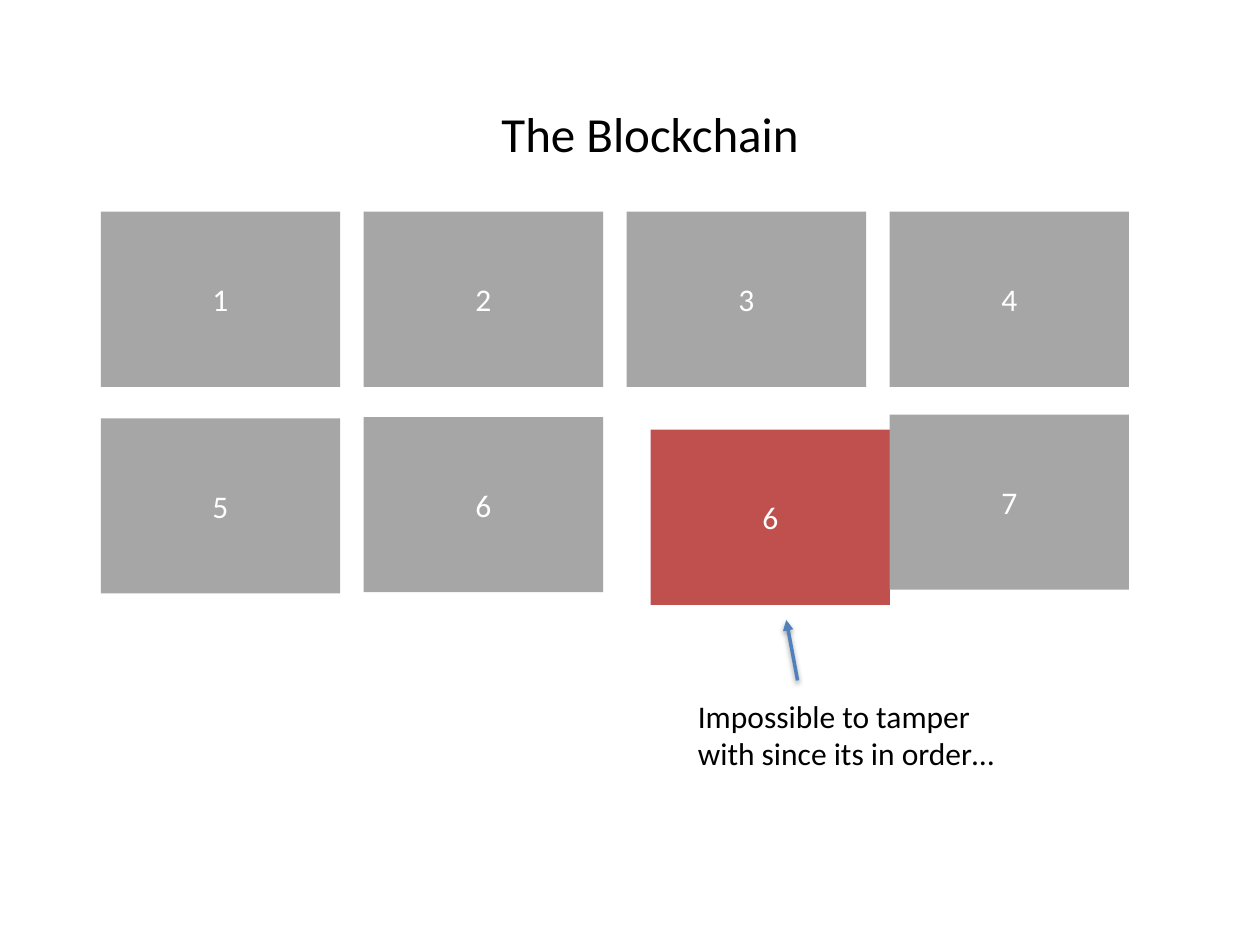
from lxml.etree import SubElement
from pptx import Presentation
from pptx.dml.color import RGBColor
from pptx.enum.shapes import MSO_CONNECTOR, MSO_SHAPE
from pptx.enum.text import MSO_ANCHOR, PP_ALIGN
from pptx.oxml.ns import qn
from pptx.util import Inches, Pt

GREY = RGBColor(0xA6, 0xA6, 0xA6)
RED = RGBColor(0xC0, 0x50, 0x4D)
BLUE = RGBColor(0x4F, 0x81, 0xBD)
WHITE = RGBColor(0xFF, 0xFF, 0xFF)
BLACK = RGBColor(0, 0, 0)

TITLE = "The Blockchain"
NOTE = "Impossible to tamper with since its in order…"

# Grid of blocks, in inches
LEFT, TOP = 0.8, 1.68
BLOCK_WIDTH, BLOCK_HEIGHT = 1.9, 1.39
COLUMN_STEP, ROW_STEP = 2.087, 1.63

# label, column, row, shift right, shift down, fill
BLOCKS = [
    ("1", 0, 0, 0, 0, GREY),
    ("2", 1, 0, 0, 0, GREY),
    ("3", 2, 0, 0, 0, GREY),
    ("4", 3, 0, 0, 0, GREY),
    ("6", 1, 1, 0, 0, GREY),
    ("6", 2, 1, 0.19, 0.1, RED),
    ("7", 3, 1, 0, -0.02, GREY),
    ("5", 0, 1, 0, 0.01, GREY),
]


def write(box, text, size, color, align, anchor):
    """Put one run of Calibri text into a box."""
    frame = box.text_frame
    frame.word_wrap = True
    frame.vertical_anchor = anchor
    para = frame.paragraphs[0]
    para.alignment = align
    span = para.add_run()
    span.text = text
    span.font.name = "Calibri"
    span.font.size = Pt(size)
    span.font.color.rgb = color


def add_block(page, label, column, row, shift_right, shift_down, fill):
    """Draw one numbered block on the grid."""
    block = page.shapes.add_shape(
        MSO_SHAPE.RECTANGLE,
        Inches(LEFT + column * COLUMN_STEP + shift_right),
        Inches(TOP + row * ROW_STEP + shift_down),
        Inches(BLOCK_WIDTH), Inches(BLOCK_HEIGHT))
    block.shadow.inherit = False
    block.fill.solid()
    block.fill.fore_color.rgb = fill
    block.line.fill.background()
    write(block, label, 18, WHITE, PP_ALIGN.CENTER, MSO_ANCHOR.MIDDLE)


def add_arrow(page, start, end):
    """Draw a blue arrow with a soft shadow below it."""
    arrow = page.shapes.add_connector(
        MSO_CONNECTOR.STRAIGHT, *(Inches(value) for value in start + end))
    arrow.line.color.rgb = BLUE
    arrow.line.width = Pt(2)
    SubElement(arrow.line._get_or_add_ln(), qn("a:tailEnd"), type="triangle")
    effects = SubElement(arrow._element.spPr, qn("a:effectLst"))
    shadow = SubElement(effects, qn("a:outerShdw"), blurRad=str(Pt(3.1)),
                        dist=str(Pt(1.6)), dir="5400000", rotWithShape="0")
    color = SubElement(shadow, qn("a:srgbClr"), val=str(BLACK))
    SubElement(color, qn("a:alpha"), val="38000")


deck = Presentation()
deck.slide_width, deck.slide_height = Inches(10), Inches(7.5)
page = deck.slides.add_slide(deck.slide_layouts[5])

title = page.shapes.title
title.left, title.top = Inches(3.88), Inches(0.77)
title.width, title.height = Inches(3.69), Inches(0.57)
write(title, TITLE, 28, BLACK, PP_ALIGN.LEFT, MSO_ANCHOR.TOP)

for block in BLOCKS:
    add_block(page, *block)

note = page.shapes.add_textbox(
    Inches(5.44), Inches(5.48), Inches(2.85), Inches(0.71))
write(note, NOTE, 18, BLACK, PP_ALIGN.LEFT, MSO_ANCHOR.TOP)
add_arrow(page, (6.33, 5.4), (6.24, 4.92))

deck.save("out.pptx")
